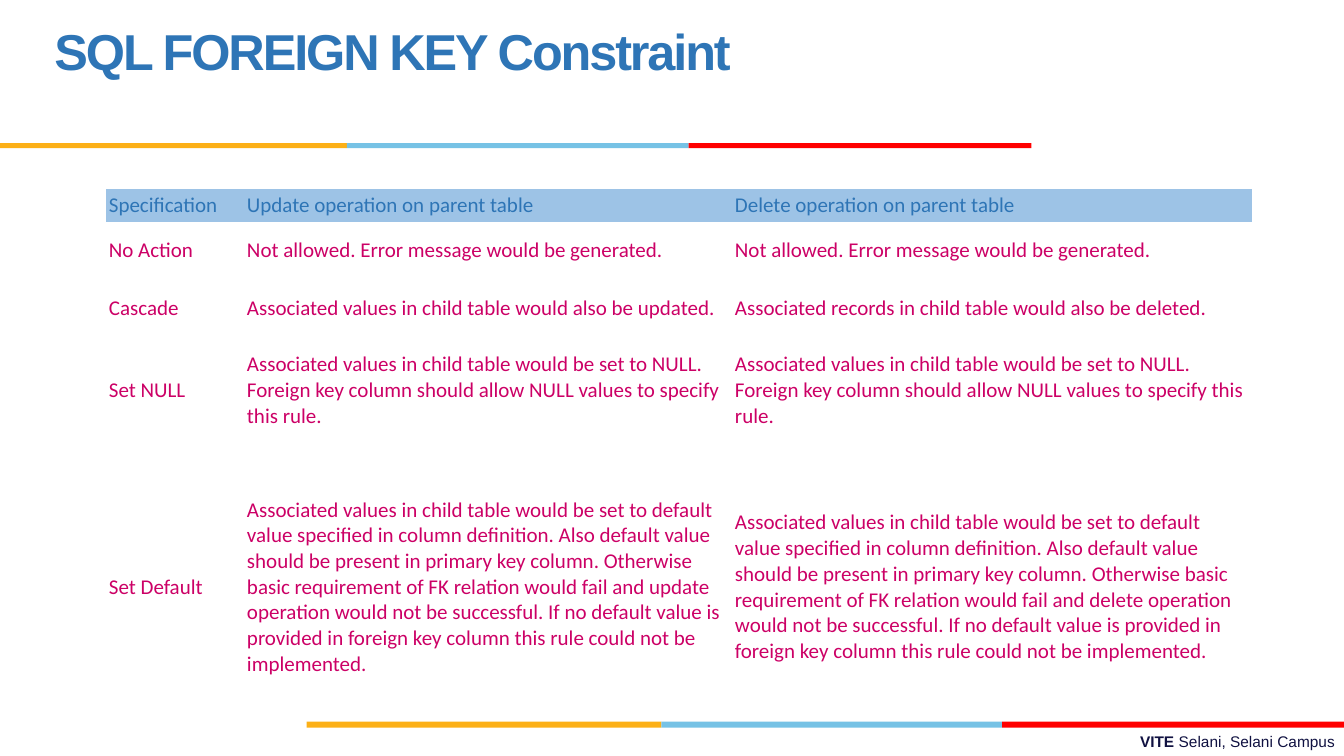
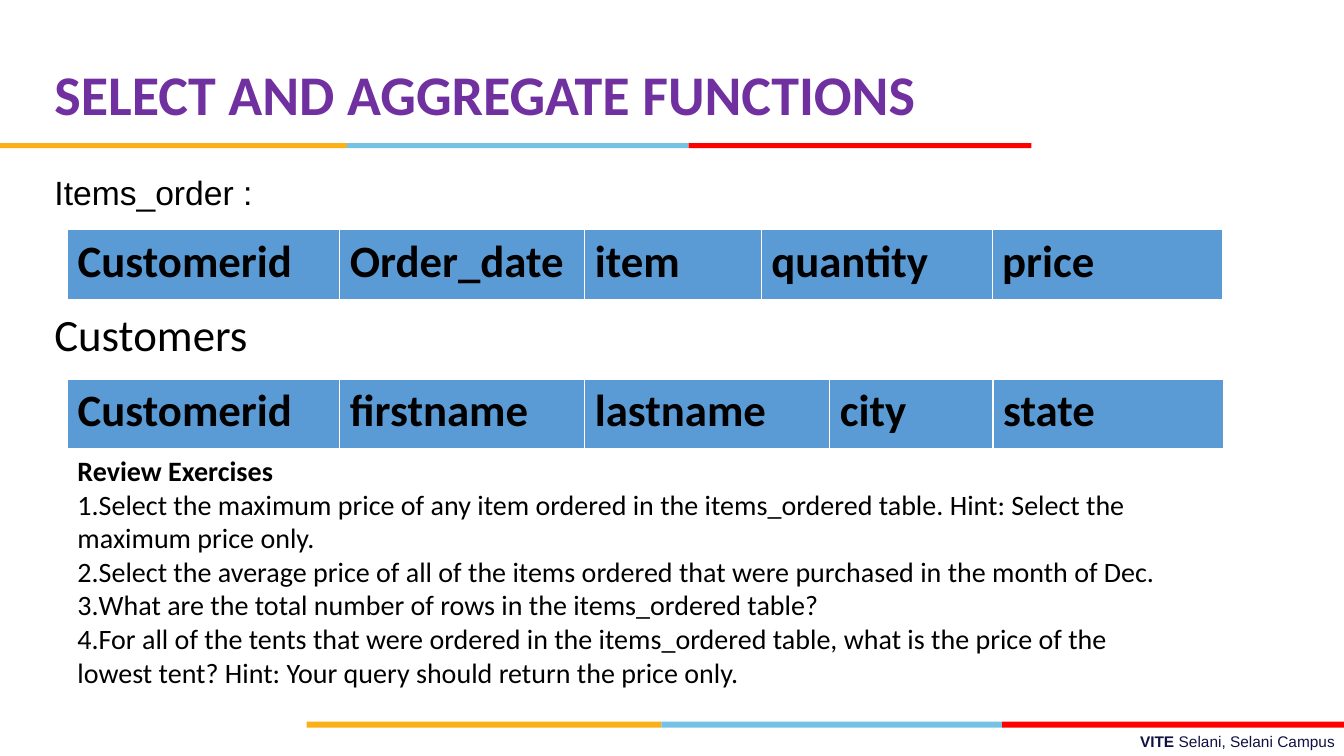
from itertools import pairwise

from lxml.etree import SubElement
from pptx import Presentation
from pptx.dml.color import RGBColor
from pptx.enum.shapes import MSO_SHAPE
from pptx.enum.text import MSO_ANCHOR, MSO_AUTO_SIZE, PP_ALIGN
from pptx.oxml.ns import qn
from pptx.util import Emu, Pt

BLUE, PURPLE, PINK, NAVY, BLACK = "2E75B6", "7030A0", "CC0066", "101141", "000000"
HEADER_BLUE, SCHEMA_BLUE = "9DC3E6", "5B9BD5"
BAND_COLOURS = ("FCB017", "76C2E5", "FF0000")
PLAIN_TABLE_STYLE = "{2D5ABB26-0587-4C30-8999-92F81FD0307C}"

NOT_ALLOWED = "Not allowed. Error message would be generated."
SET_NULL = ("Associated values in child table would be set to NULL. Foreign key column "
            "should allow NULL values to specify this rule.")
SET_DEFAULT = (
    "Associated values in child table would be set to default value specified in column "
    "definition. Also default value should be present in primary key column. Otherwise "
    "basic requirement of FK relation would fail and {} operation would not be successful. "
    "If no default value is provided in foreign key column this rule could not be "
    "implemented."
)
RULES = [
    ("Specification", "Update operation on parent table", "Delete operation on parent table"),
    ("No Action", NOT_ALLOWED, NOT_ALLOWED),
    ("Cascade", "Associated values in child table would also be updated.",
     "Associated records in child table would also be deleted."),
    ("Set NULL", SET_NULL, SET_NULL),
    ("Set Default", SET_DEFAULT.format("update"), SET_DEFAULT.format("delete")),
]
EXERCISES = [
    "Select the maximum price of any item ordered in the items_ordered table. "
    "Hint: Select the maximum price only.",
    "Select the average price of all of the items ordered that were purchased in the "
    "month of Dec.",
    "What are the total number of rows in the items_ordered table?",
    "For all of the tents that were ordered in the items_ordered table, what is the price "
    "of the lowest tent? Hint: Your query should return the price only.",
]


def px(length):
    """Turn px into EMU, at 100 px to the inch."""
    return Emu(length * 9144)


def colour(value):
    """Return the colour of a hex string."""
    return RGBColor.from_string(value)


def style(paragraph, size, hex_colour, name="Calibri", bold=False):
    """Format the font of a whole paragraph."""
    font = paragraph.font
    font.size, font.name, font.bold = Pt(size), name, bold
    font.color.rgb = colour(hex_colour)


def fill_placeholder(shape, box, text, **font):
    """Move a placeholder and give it one left-aligned line."""
    shape.left, shape.top, shape.width, shape.height = map(px, box)
    frame = shape.text_frame
    frame.text = text
    frame.auto_size = MSO_AUTO_SIZE.NONE
    frame.vertical_anchor = MSO_ANCHOR.TOP
    paragraph = frame.paragraphs[0]
    paragraph.alignment = PP_ALIGN.LEFT
    paragraph.space_before = Pt(0)
    style(paragraph, **font)
    return paragraph


def remove_bullet(paragraph):
    """Take the bullet and its indent from a paragraph."""
    properties = paragraph._p.get_or_add_pPr()
    properties.set("marL", "0")
    properties.set("indent", "0")
    bullet = SubElement(properties, qn("a:buNone"))
    properties.find(qn("a:defRPr")).addprevious(bullet)


def number(paragraph):
    """Number a paragraph automatically."""
    properties = paragraph._p.get_or_add_pPr()
    bullet = SubElement(properties, qn("a:buAutoNum"), type="arabicPeriod")
    properties.find(qn("a:defRPr")).addprevious(bullet)


def add_text(slide, box, text):
    """Add a wrapping text box and return its frame."""
    frame = slide.shapes.add_textbox(*map(px, box)).text_frame
    frame.word_wrap = True
    frame.text = text
    return frame


def add_bands(slide, top, height, edges):
    """Draw the three-coloured strip between the given edges."""
    for (left, right), band_colour in zip(pairwise(edges), BAND_COLOURS):
        band = slide.shapes.add_shape(
            MSO_SHAPE.RECTANGLE, px(left), px(top), px(right - left), px(height))
        band.shadow.inherit = False
        band.fill.solid()
        band.fill.fore_color.rgb = colour(band_colour)
        band.line.fill.background()


def add_footer(slide):
    """Add the campus name at the bottom right."""
    paragraph = add_text(slide, (478, 721, 856, 29), "").paragraphs[0]
    paragraph.alignment = PP_ALIGN.RIGHT
    style(paragraph, 11, NAVY, "Arial")
    for text, bold in (("VITE ", True), ("Selani, Selani Campus", False)):
        run = paragraph.add_run()
        run.text, run.font.bold = text, bold


def add_slide(presentation, layout):
    """Add a slide with the shared bands and footer."""
    slide = presentation.slides.add_slide(presentation.slide_layouts[layout])
    add_footer(slide)
    add_bands(slide, 716, 6, (304, 656, 994, 1333))
    add_bands(slide, 142, 5, (0, 344, 683, 1023))
    return slide


def add_table(slide, left, top, widths, heights, rows):
    """Add a table with its text and sizes."""
    table = slide.shapes.add_table(
        len(heights), len(widths), px(left), px(top),
        px(sum(widths)), px(sum(heights))).table
    for column, width in zip(table.columns, widths):
        column.width = px(width)
    for row, height, texts in zip(table.rows, heights, rows):
        row.height = px(height)
        for cell, text in zip(row.cells, texts):
            cell.text = text
    return table


def fill_cell(cell, hex_colour):
    """Give a cell a solid fill."""
    cell.fill.solid()
    cell.fill.fore_color.rgb = colour(hex_colour)


def add_rules(slide):
    """Add the table of referential rules."""
    table = add_table(slide, 105, 188, (137, 484, 516), (32, 57, 57, 107, 283), RULES)
    table._tbl.tblPr.find(qn("a:tableStyleId")).text = PLAIN_TABLE_STYLE
    for index, row in enumerate(table.rows):
        for cell in row.cells:
            cell.margin_left = cell.margin_right = px(3)
            cell.margin_top = cell.margin_bottom = px(3)
            cell.vertical_anchor = MSO_ANCHOR.MIDDLE
            style(cell.text_frame.paragraphs[0], 15, PINK if index else BLUE)
            if index:
                cell.fill.background()
            else:
                fill_cell(cell, HEADER_BLUE)


def add_schema(slide, top, widths, names):
    """Add a one-row table of column names."""
    table = add_table(slide, 67, top, widths, (69,), (names,))
    for cell in table.iter_cells():
        fill_cell(cell, SCHEMA_BLUE)
        style(cell.text_frame.paragraphs[0], 32, BLACK, bold=True)


def add_exercises(slide):
    """Add the numbered review exercises."""
    frame = add_text(slide, (67, 445, 1096, 246), "Review Exercises")
    style(frame.paragraphs[0], 20, BLACK, bold=True)
    for text in EXERCISES:
        paragraph = frame.add_paragraph()
        paragraph.text = text
        style(paragraph, 20, BLACK)
        number(paragraph)


def build_constraint_slide(presentation):
    """Build the slide on foreign key rules."""
    slide = add_slide(presentation, 5)
    title = fill_placeholder(slide.shapes.title, (44, 25, 922, 60),
                             "SQL FOREIGN KEY Constraint",
                             size=36, hex_colour=BLUE, name="Arial", bold=True)
    title.line_spacing = Pt(36)
    title.runs[0]._r.get_or_add_rPr().set("spc", "-150")
    add_rules(slide)


def build_functions_slide(presentation):
    """Build the slide on aggregate functions."""
    slide = add_slide(presentation, 1)
    fill_placeholder(slide.shapes.title, (44, 54, 1000, 77),
                     "SELECT AND AGGREGATE FUNCTIONS",
                     size=40, hex_colour=PURPLE, bold=True)
    remove_bullet(fill_placeholder(slide.placeholders[1], (44, 166, 1200, 55),
                                   "Items_order :",
                                   size=24, hex_colour=BLACK, name="Arial"))
    add_schema(slide, 228, (270, 243, 175, 229, 229),
               ("Customerid", "Order_date", "item", "quantity", "price"))
    customers = add_text(slide, (44, 299, 241, 64), "Customers")
    style(customers.paragraphs[0], 32, BLACK)
    add_schema(slide, 376, (270, 243, 243, 162, 229),
               ("Customerid", "firstname", "lastname", "city", "state"))
    add_exercises(slide)


def main():
    """Build and save the presentation."""
    presentation = Presentation()
    presentation.slide_width, presentation.slide_height = px(1333), px(750)
    build_constraint_slide(presentation)
    build_functions_slide(presentation)
    presentation.save("out.pptx")


if __name__ == "__main__":
    main()
